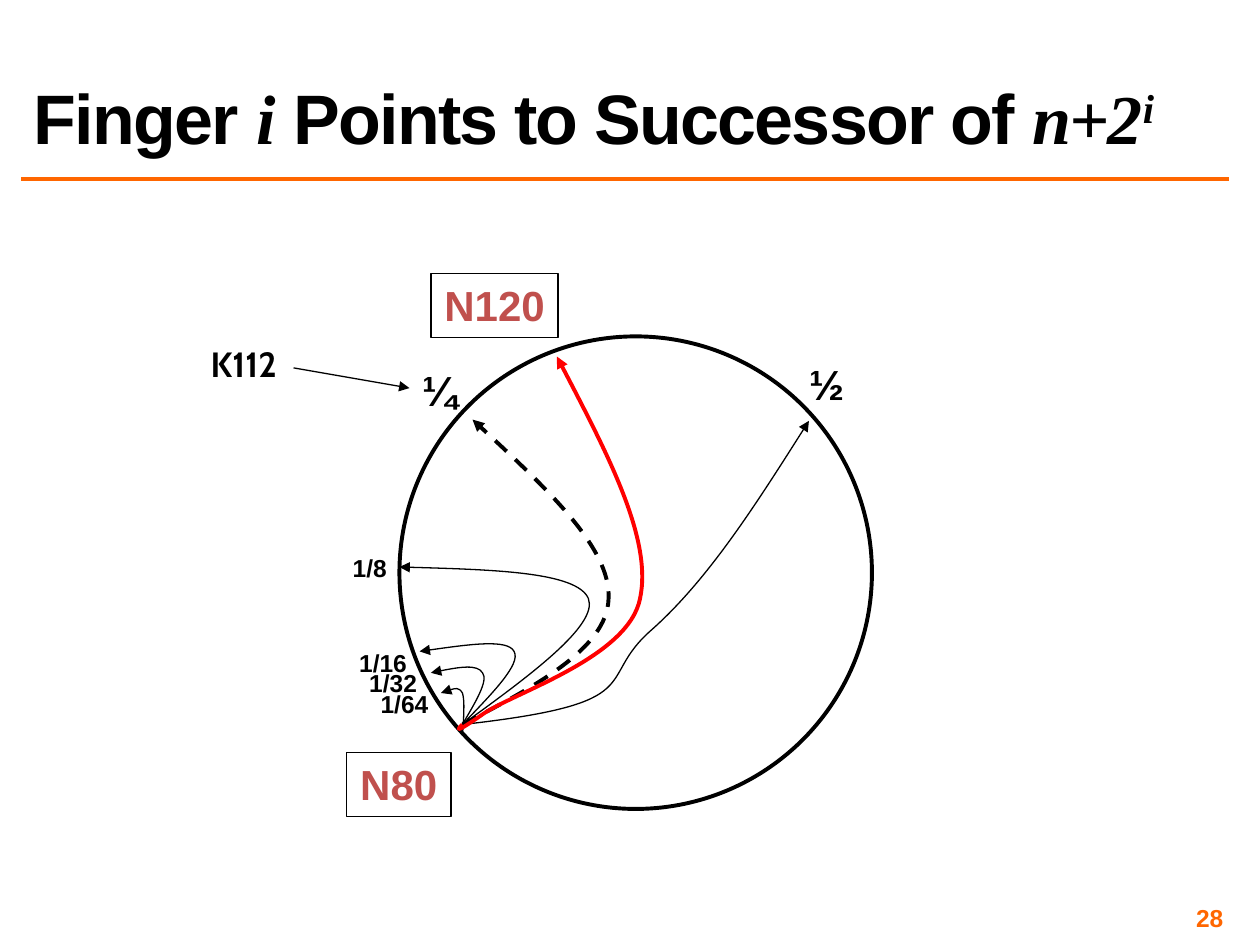
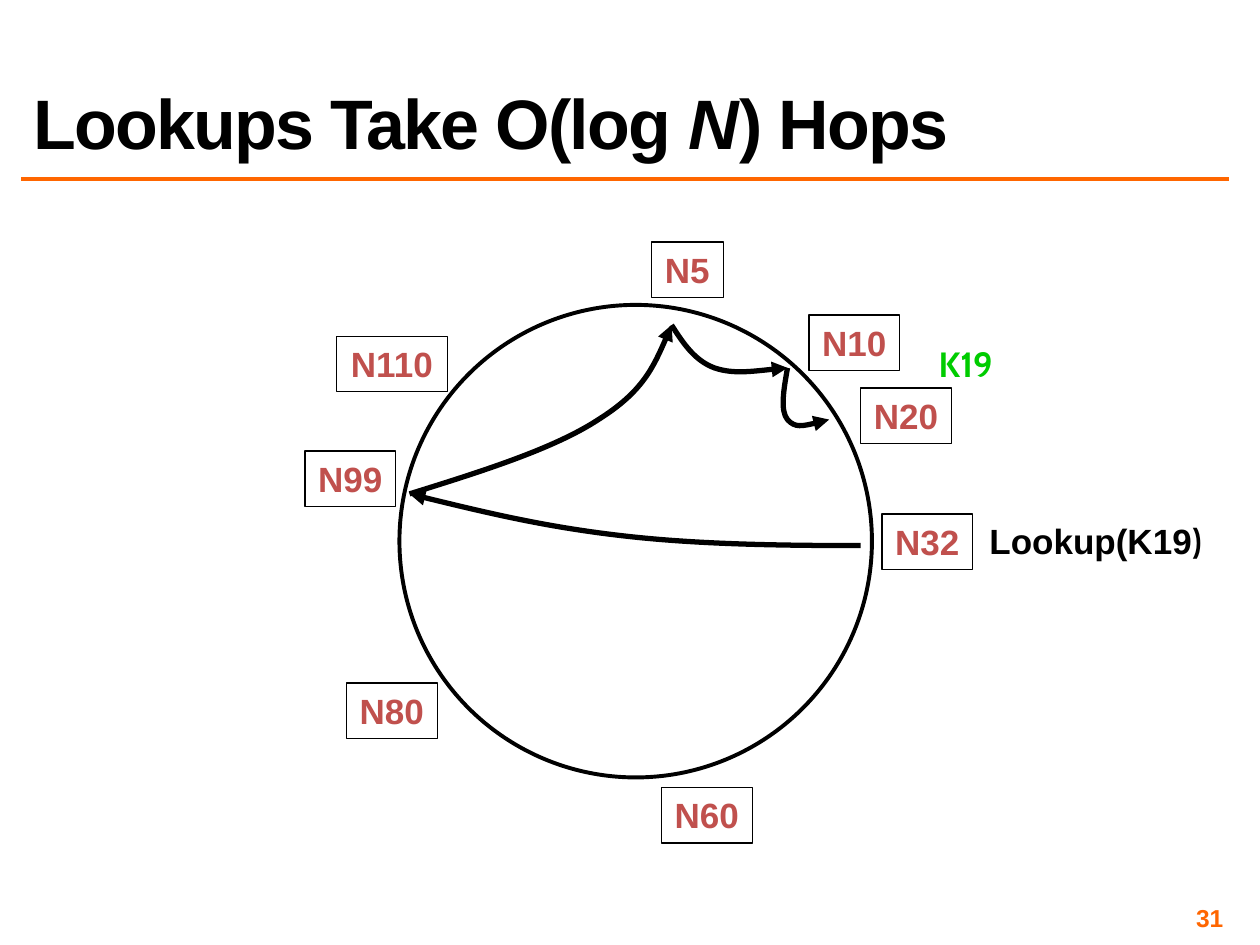
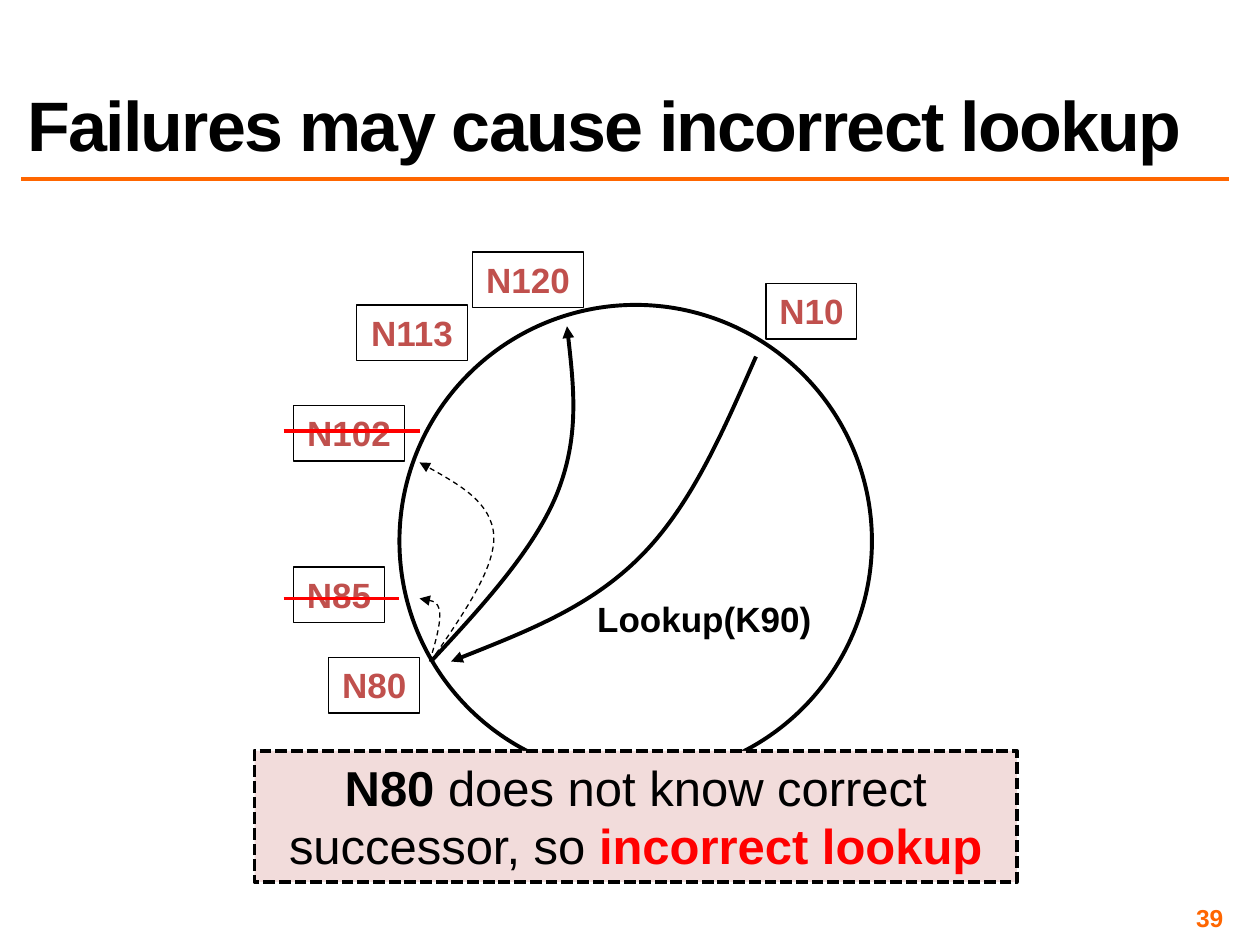
"""Build three slides on ring lookups: fingers, hop counts and failures."""
from dataclasses import dataclass
from typing import Any, Optional

from lxml import etree
from pptx import Presentation
from pptx import util as u
from pptx.dml.color import RGBColor
from pptx.enum import dml, shapes, text
from pptx.oxml.ns import qn

SCALE = 9144
Point = tuple[int, int]
Box = tuple[int, int, int, int]


@dataclass(frozen=True)
class Theme:
    """Colours, fonts, type sizes and line widths shared by the slides."""
    ink: str = "000000"
    accent: str = "FF6600"
    node: str = "C0504D"
    alert: str = "FF0000"
    key: str = "00CC00"
    note: str = "F2DCDB"
    sans: str = "Arial"
    serif: str = "Times New Roman"
    label_font: str = "Cabin"
    title: int = 40
    callout: int = 28
    large: int = 24
    medium: int = 20
    small: int = 14
    thin: float = 0.75
    rule: float = 2
    bold: float = 2.25
    heavy: float = 3


THEME = Theme()


@dataclass(frozen=True)
class Run:
    """A stretch of text in one style."""
    words: str
    size: int = THEME.medium
    color: str = THEME.ink
    font: str = THEME.sans
    bold: bool = True
    italic: bool = False
    extra: tuple[tuple[str, str], ...] = ()


@dataclass(frozen=True)
class Stroke:
    """Look of a line."""
    color: str = THEME.ink
    width: float = THEME.thin
    dash: Optional[dml.MSO_LINE] = None
    arrow: bool = False


@dataclass(frozen=True)
class Label:
    """Free text in a box."""
    box: Box
    runs: tuple[Run, ...]


@dataclass(frozen=True)
class Node:
    """A boxed node name, placed by its top left corner."""
    name: str
    left: int
    top: int
    size: int = THEME.medium


@dataclass(frozen=True)
class Curve:
    """A Bézier arrow: a start, then three points for each segment."""
    points: tuple[Point, ...]
    stroke: Stroke


@dataclass(frozen=True)
class Segment:
    """A straight line."""
    start: Point
    end: Point
    stroke: Stroke


THIN_ARROW = Stroke(arrow=True)
BOLD_ARROW = Stroke(width=THEME.bold, arrow=True)
HEAVY_ARROW = Stroke(width=THEME.heavy, arrow=True)
FAINT_ARROW = Stroke(dash=dml.MSO_LINE.DASH, arrow=True)
STRIKE = Stroke(THEME.alert, THEME.bold)


def px(*lengths: int) -> list[u.Emu]:
    """Turn px into EMU."""
    return [u.Emu(length * SCALE) for length in lengths]


def set_format(target: Any, values: dict[str, Any]) -> None:
    """Set each named attribute on the target."""
    for name, value in values.items():
        setattr(target, name, value)


def draw_stroke(shape: Any, stroke: Stroke) -> None:
    """Give a shape or connector its line."""
    shape.line.color.rgb = RGBColor.from_string(stroke.color)
    shape.line.width = u.Pt(stroke.width)
    if stroke.dash:
        shape.line.dash_style = stroke.dash
    if stroke.arrow:
        line = shape.element.spPr.find(qn("a:ln"))
        etree.SubElement(line, qn("a:tailEnd"), type="triangle")


def write(shape: Any, runs: tuple[Run, ...], align: text.PP_ALIGN = text.PP_ALIGN.CENTER,
          line_spacing: Optional[float] = None, **frame_format: Any) -> None:
    """Fill a shape with one paragraph of styled runs."""
    frame = shape.text_frame
    set_format(frame, {"word_wrap": False, "vertical_anchor": text.MSO_ANCHOR.TOP,
                       "auto_size": text.MSO_AUTO_SIZE.SHAPE_TO_FIT_TEXT, **frame_format})
    paragraph = frame.paragraphs[0]
    set_format(paragraph, {"alignment": align, "line_spacing": line_spacing})
    for item in runs:
        run = paragraph.add_run()
        run.text = item.words
        set_format(run.font, {"size": u.Pt(item.size), "name": item.font,
                              "bold": item.bold, "italic": item.italic})
        run.font.color.rgb = RGBColor.from_string(item.color)
        for name, value in item.extra:
            run.font._element.set(name, value)


def draw_label(slide: Any, label: Label, **options: Any) -> None:
    """Draw a text box."""
    write(slide.shapes.add_textbox(*px(*label.box)), label.runs, **options)


def draw_shape(slide: Any, kind: shapes.MSO_SHAPE, box: Box, stroke: Stroke,
               fill: Optional[str] = None) -> Any:
    """Draw an outlined preset shape and return it."""
    shape = slide.shapes.add_shape(kind, *px(*box))
    shape.shadow.inherit = False
    if fill:
        shape.fill.solid()
        shape.fill.fore_color.rgb = RGBColor.from_string(fill)
    else:
        shape.fill.background()
    draw_stroke(shape, stroke)
    return shape


def draw_node(slide: Any, node: Node) -> None:
    """Draw a node box sized to fit its name."""
    width = round(20 + node.size * (1.08 + 0.77 * (len(node.name) - 1)))
    height = round(9 + 1.75 * node.size)
    shape = draw_shape(slide, shapes.MSO_SHAPE.RECTANGLE,
                       (node.left, node.top, width, height), Stroke())
    write(shape, (Run(node.name, node.size, THEME.node),))


def draw_curve(slide: Any, curve: Curve) -> None:
    """Draw a freeform whose points become cubic segments."""
    builder = slide.shapes.build_freeform(*curve.points[0], scale=SCALE)
    builder.add_line_segments(curve.points[1:], close=False)
    shape = builder.convert_to_shape()
    shape.shadow.inherit = False
    shape.fill.background()
    draw_stroke(shape, curve.stroke)
    outline = next(shape.element.iter(qn("a:path")))
    steps = outline.findall(qn("a:lnTo"))
    for first in range(0, len(steps), 3):
        cubic = etree.SubElement(outline, qn("a:cubicBezTo"))
        for step in steps[first:first + 3]:
            cubic.append(step[0])
            outline.remove(step)


def draw_segment(slide: Any, segment: Segment) -> None:
    """Draw a straight connector."""
    connector = slide.shapes.add_connector(
        shapes.MSO_CONNECTOR.STRAIGHT, *px(*segment.start, *segment.end))
    draw_stroke(connector, segment.stroke)
    etree.SubElement(connector.element.spPr, qn("a:effectLst"))


DRAW = {Label: draw_label, Node: draw_node, Curve: draw_curve, Segment: draw_segment}


def draw_all(slide: Any, items: list[Any]) -> None:
    """Draw each item with the function for its type."""
    for item in items:
        DRAW[type(item)](slide, item)


def title_run(words: str, **style: Any) -> Run:
    """Make a run in the title style, optionally raised."""
    raised = style.pop("raised", False)
    extra = (("spc", "-100"),) + ((("baseline", "30000"),) if raised else ())
    return Run(words, THEME.title, extra=extra, **style)


def add_ring_slide(presentation: Any, number: int, title: Label, ring_top: int) -> Any:
    """Add a slide with its rule, page number, title and ring."""
    slide = presentation.slides.add_slide(presentation.slide_layouts[6])
    draw_segment(slide, Segment((17, 142), (975, 142), Stroke(THEME.accent, THEME.rule)))
    inset = px(4)[0]
    margins = {f"margin_{side}": inset for side in ("left", "top", "right", "bottom")}
    draw_label(slide, Label((742, 717, 233, 23), (Run(str(number), THEME.small, THEME.accent),)),
               align=text.PP_ALIGN.RIGHT, word_wrap=True, auto_size=text.MSO_AUTO_SIZE.NONE,
               vertical_anchor=text.MSO_ANCHOR.MIDDLE, **margins)
    draw_label(slide, title, align=text.PP_ALIGN.LEFT, line_spacing=0.8, word_wrap=True,
               auto_size=text.MSO_AUTO_SIZE.NONE, vertical_anchor=text.MSO_ANCHOR.BOTTOM)
    draw_shape(slide, shapes.MSO_SHAPE.OVAL, (317, ring_top, 375, 375),
               Stroke(width=THEME.bold))
    return slide


def build_fingers(presentation: Any) -> None:
    """Build the slide on finger pointers."""
    math_style = {"font": THEME.serif, "italic": True}
    title = Label((17, 27, 943, 103), (
        title_run("Finger "), title_run("i", **math_style),
        title_run(" Points to Successor of "), title_run("n+2", **math_style),
        title_run("i", raised=True, **math_style)))
    slide = add_ring_slide(presentation, 28, title, 267)
    fractions = [
        ("½", (632, 280, 48, 50), THEME.large),
        ("¼", (325, 284, 48, 50), THEME.large),
        ("1/8", (270, 434, 47, 33), THEME.small),
        ("1/16", (275, 509, 58, 33), THEME.small),
        ("1/32", (283, 525, 58, 33), THEME.small),
        ("1/64", (292, 542, 58, 33), THEME.small),
    ]
    source = (367, 575)
    fingers = [
        ((367, 584), (368, 570), (369, 556), (367, 550), (364, 545), (357, 547), (350, 550)),
        (source, (377, 558), (388, 540), (383, 534), (379, 527), (360, 530), (342, 534)),
        (source, (390, 551), (414, 527), (408, 517), (403, 507), (368, 512), (333, 517)),
        (source, (421, 536), (475, 496), (467, 475), (458, 454), (388, 452), (317, 450)),
        (source, (519, 558), (571, 540), (517, 500), (562, 460), (602, 397), (642, 334)),
    ]
    half = fingers[-1]
    fingers[-1] = half[:2] + ((471, 540),) + half[3:]
    draw_all(slide, [
        Node("N80", 275, 597, THEME.large),
        *(Label(box, (Run(words, size),)) for words, box, size in fractions),
        *(Curve(points, THIN_ARROW) for points in fingers),
        Label((147, 267, 93, 44), (Run("K112", font=THEME.label_font),)),
        Segment((233, 292), (325, 308), THIN_ARROW),
        Node("N120", 342, 217, THEME.large),
        Curve((source, (424, 545), (482, 515), (483, 475), (485, 435), (430, 384), (375, 333)),
              Stroke(width=THEME.bold, dash=dml.MSO_LINE.DASH, arrow=True)),
        Curve((source, (363, 579), (360, 583), (383, 567), (407, 550), (499, 522), (508, 475),
               (518, 428), (480, 356), (442, 283)),
              Stroke(THEME.alert, THEME.bold, arrow=True)),
    ])


def build_hops(presentation: Any) -> None:
    """Build the slide on the number of hops."""
    title = Label((17, 17, 958, 117), (
        title_run("Lookups Take O(log"), title_run(" N", italic=True), title_run(") Hops")))
    slide = add_ring_slide(presentation, 31, title, 242)
    nodes = [("N32", 700, 408), ("N10", 642, 250), ("N5", 517, 192), ("N20", 683, 308),
             ("N110", 267, 267), ("N99", 242, 358), ("N80", 275, 542), ("N60", 525, 625)]
    hops = [
        ((683, 433), (617, 433), (551, 432), (492, 425), (432, 418), (378, 405), (325, 392)),
        ((325, 392), (383, 374), (440, 356), (475, 333), (510, 311), (522, 285), (533, 258)),
        ((533, 258), (542, 272), (551, 286), (567, 292), (582, 297), (603, 294), (625, 292)),
        ((625, 292), (622, 309), (619, 326), (625, 333), (631, 340), (644, 337), (658, 333)),
    ]
    draw_all(slide, [
        *(Node(*node) for node in nodes),
        *(Curve(points, HEAVY_ARROW) for points in hops),
        Label((772, 407, 195, 44), (Run("Lookup(K19"), Run(")", font=THEME.label_font))),
        Label((733, 267, 67, 43), (Run("K19", color=THEME.key, font=THEME.label_font),)),
    ])


def build_failures(presentation: Any) -> None:
    """Build the slide on failed nodes."""
    title = Label((12, 11, 962, 125), (title_run("Failures may cause incorrect lookup"),))
    slide = add_ring_slide(presentation, 39, title, 242)
    nodes = [("N120", 375, 200), ("N113", 283, 242), ("N102", 233, 322),
             ("N80", 261, 522), ("N85", 233, 450)]
    draw_all(slide, [
        *(Node(*node) for node in nodes),
        Segment((225, 475), (317, 475), STRIKE),
        Segment((225, 342), (333, 342), STRIKE),
        Curve(((341, 525), (346, 509), (350, 494), (349, 485), (347, 477), (340, 476),
               (333, 475)), FAINT_ARROW),
        Curve(((342, 525), (367, 488), (393, 452), (392, 425), (390, 399), (362, 383),
               (333, 367)), FAINT_ARROW),
        Curve(((342, 525), (383, 481), (424, 436), (442, 392), (460, 347), (455, 303),
               (450, 259)), BOLD_ARROW),
    ])
    warning = draw_shape(slide, shapes.MSO_SHAPE.RECTANGLE, (202, 596, 605, 104),
                         Stroke(width=THEME.bold, dash=dml.MSO_LINE.SQUARE_DOT), THEME.note)
    write(warning, (
        Run("N80 ", THEME.callout),
        Run("does not know correct successor, so ", THEME.callout, bold=False),
        Run("incorrect lookup", THEME.callout, THEME.alert)), word_wrap=True)
    draw_all(slide, [
        Node("N10", 608, 225),
        Label((463, 469, 192, 44), (Run("Lookup(K90)"),)),
        Curve(((600, 283), (574, 342), (549, 401), (508, 442), (468, 482), (413, 503),
               (358, 525)), BOLD_ARROW),
    ])


def main() -> None:
    """Build and save the presentation."""
    presentation = Presentation()
    width, height = px(1000, 750)
    set_format(presentation, {"slide_width": width, "slide_height": height})
    for build in (build_fingers, build_hops, build_failures):
        build(presentation)
    presentation.save("out.pptx")


if __name__ == "__main__":
    main()
